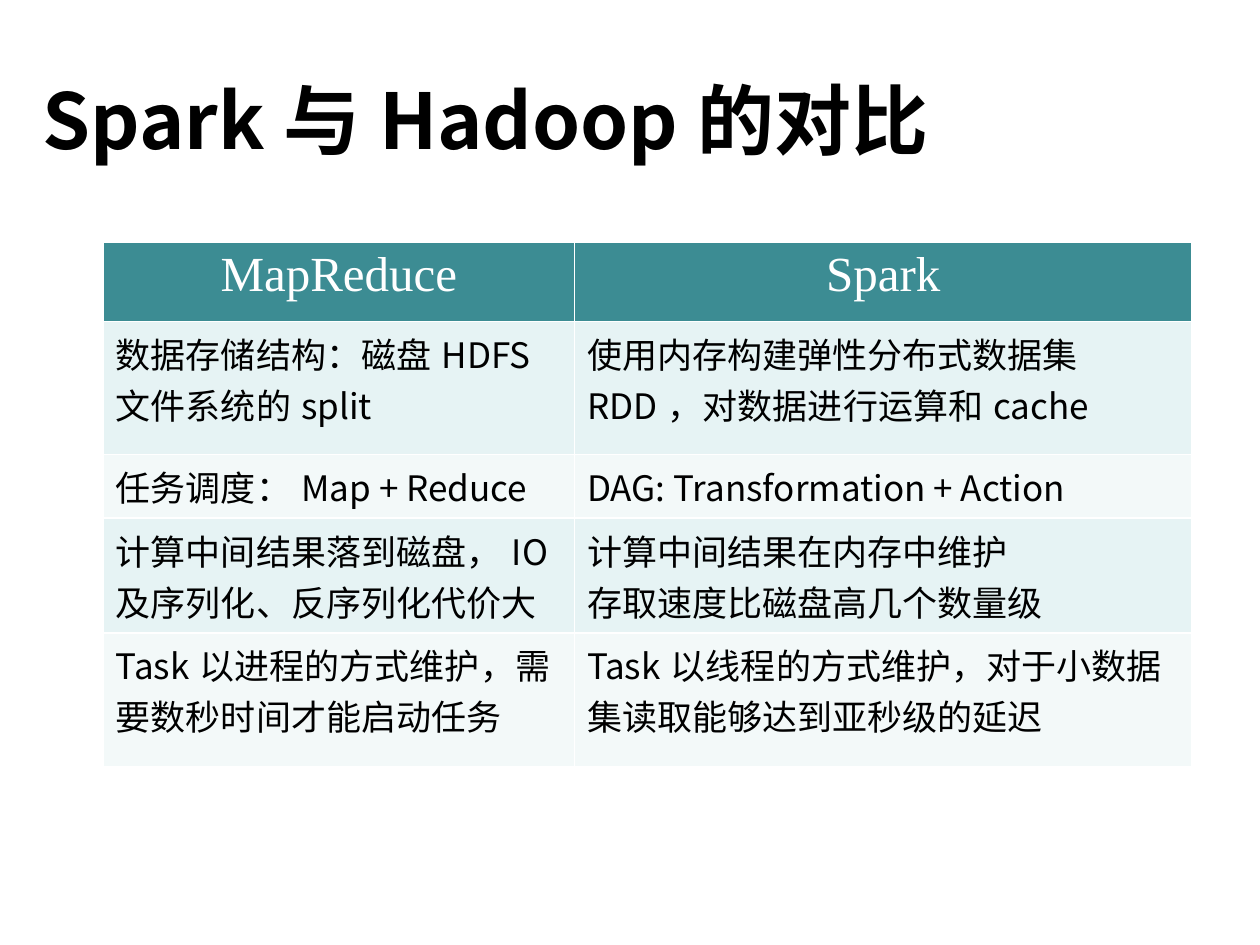
from lxml.etree import SubElement
from pptx import Presentation
from pptx.dml.color import RGBColor
from pptx.enum.text import MSO_ANCHOR, MSO_AUTO_SIZE, PP_ALIGN
from pptx.oxml.ns import qn
from pptx.util import Pt

BLACK = RGBColor(0x00, 0x00, 0x00)
WHITE = RGBColor(0xFF, 0xFF, 0xFF)
TEAL = RGBColor(0x3C, 0x8C, 0x93)
BAND_DARK = RGBColor(0xE6, 0xF3, 0xF4)
BAND_LIGHT = RGBColor(0xF3, 0xF9, 0xF9)
SANS = "Noto Sans CJK SC"
SERIF = "Times New Roman"

COLUMN_WIDTHS = [269.3, 352.8]
ROW_HEIGHTS = [45.4, 76.3, 36, 65.5, 76.3]
ROWS = [
    ("MapReduce", "Spark"),
    ("数据存储结构：磁盘HDFS文件系统的split",
     "使用内存构建弹性分布式数据集RDD，对数据进行运算和cache"),
    ("任务调度：Map + Reduce", "DAG: Transformation + Action"),
    ("计算中间结果落到磁盘，IO及序列化、反序列化代价大",
     "计算中间结果在内存中维护\n存取速度比磁盘高几个数量级"),
    ("Task以进程的方式维护，需要数秒时间才能启动任务",
     "Task以线程的方式维护，对于小数据集读取能够达到亚秒级的延迟"),
]


def format_text(text_frame, name, size, color, bold, alignment):
    for paragraph in text_frame.paragraphs:
        paragraph.alignment = alignment
        for run in paragraph.runs:
            run.font.name = name
            run.font.size = Pt(size)
            run.font.bold = bold
            run.font.color.rgb = color
            SubElement(run.font._element, qn("a:ea"), typeface=name)


def add_borders(cell, color, width):
    properties = cell._tc.get_or_add_tcPr()
    for position, side in enumerate(("a:lnL", "a:lnR", "a:lnT", "a:lnB")):
        line = SubElement(properties, qn(side), w=str(Pt(width)))
        fill = SubElement(line, qn("a:solidFill"))
        SubElement(fill, qn("a:srgbClr"), val=str(color))
        properties.insert(position, line)  # borders come before the fill


presentation = Presentation()
presentation.slide_width = Pt(720)
presentation.slide_height = Pt(540)
slide = presentation.slides.add_slide(presentation.slide_layouts[5])

# Title
title = slide.shapes.title
title.left, title.top, title.width, title.height = Pt(17.3), Pt(35.3), Pt(581.8), Pt(72)
title_frame = title.text_frame
title_frame.text = "Spark与Hadoop的对比"
title_frame.word_wrap = True
title_frame.auto_size = MSO_AUTO_SIZE.NONE
title_frame.vertical_anchor = MSO_ANCHOR.MIDDLE
title_frame.paragraphs[0].line_spacing = 0.9
format_text(title_frame, SANS, 44, BLACK, True, PP_ALIGN.LEFT)

# Comparison table
table = slide.shapes.add_table(
    len(ROWS), len(COLUMN_WIDTHS), Pt(59), Pt(138.2),
    Pt(sum(COLUMN_WIDTHS)), Pt(sum(ROW_HEIGHTS))).table
for column, width in zip(table.columns, COLUMN_WIDTHS):
    column.width = Pt(width)
for row, height in zip(table.rows, ROW_HEIGHTS):
    row.height = Pt(height)

for row_index, texts in enumerate(ROWS):
    for column_index, text in enumerate(texts):
        cell = table.cell(row_index, column_index)
        cell.text_frame.text = text
        cell.fill.solid()
        if row_index == 0:
            cell.fill.fore_color.rgb = TEAL
            format_text(cell.text_frame, SERIF, 28, WHITE, False, PP_ALIGN.CENTER)
        else:
            cell.fill.fore_color.rgb = BAND_DARK if row_index % 2 else BAND_LIGHT
            format_text(cell.text_frame, SANS, 20, BLACK, False, PP_ALIGN.LEFT)
        add_borders(cell, WHITE, 0.96)

presentation.save("out.pptx")
